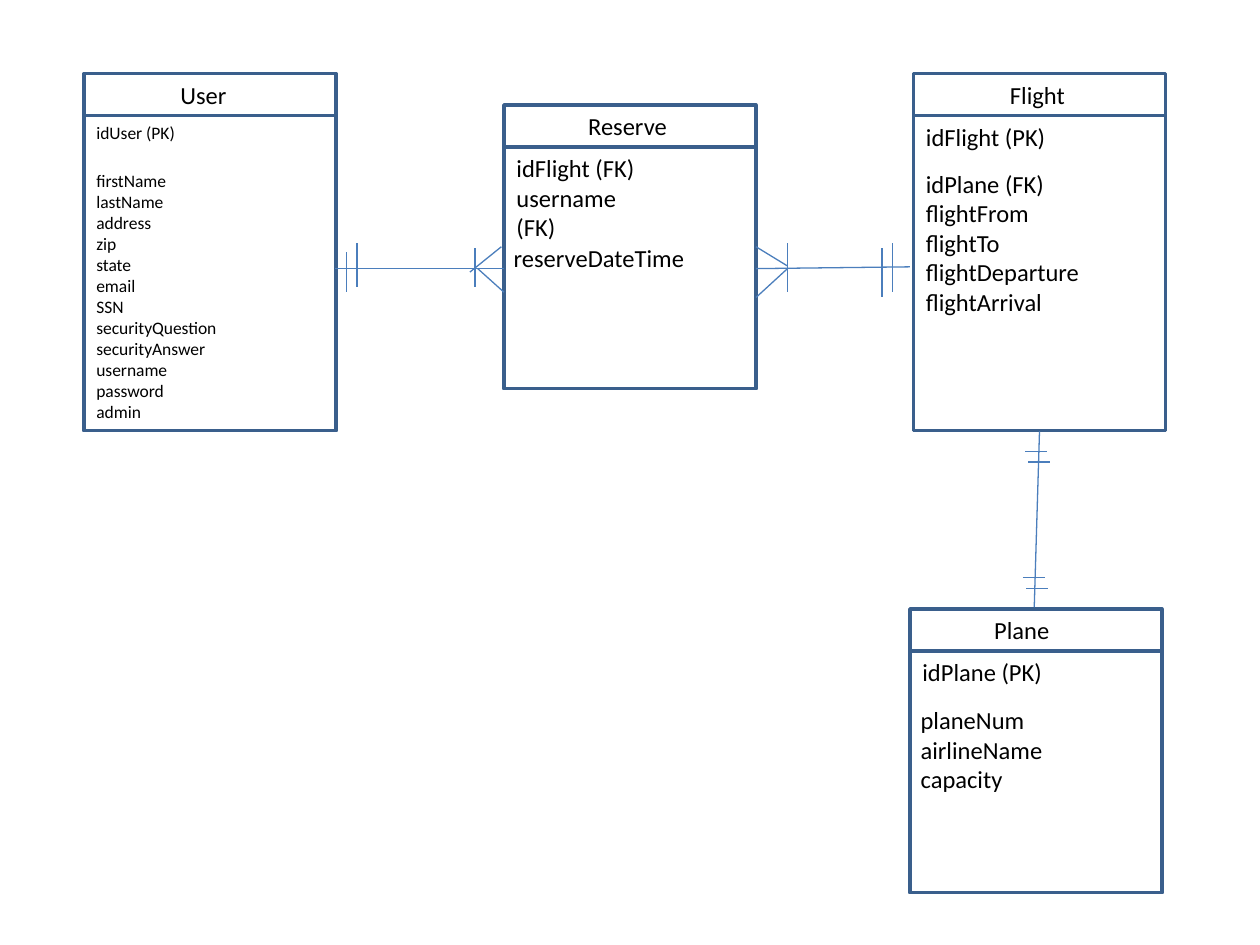
"""Builds an entity-relationship diagram of a flight booking database."""
from dataclasses import dataclass

from lxml import etree
from pptx import Presentation
from pptx import util as u
from pptx.dml.color import RGBColor
from pptx.enum import shapes, text
from pptx.oxml import ns


@dataclass(frozen=True)
class Theme:
    """Colours, type and line sizes of the diagram."""
    font: str = "Calibri"
    ink: RGBColor = RGBColor(0x00, 0x00, 0x00)
    paper: RGBColor = RGBColor(0xFF, 0xFF, 0xFF)
    border: RGBColor = RGBColor(0x3A, 0x5F, 0x8C)
    relation: RGBColor = RGBColor(0x4B, 0x7E, 0xBC)
    normal: float = 14
    small: float = 10
    border_width: float = 2
    relation_width: float = 0.75


@dataclass(frozen=True)
class Entity:
    """One table of the database and its place on the slide."""
    name: str
    left: float
    top: float
    height: float
    title_left: float
    title_width: float
    keys: tuple
    fields: tuple
    fields_left: float
    fields_top: float
    size: float


THEME = Theme()
ENTITY_WIDTH = 144
HEADER_HEIGHT = 24
TICK_LENGTH = 12.5

ENTITIES = (
    Entity("User", 48, 42, 204, 96, 48, ("idUser (PK)",),
           ("firstName", "lastName", "address", "zip", "state", "email", "SSN",
            "securityQuestion", "securityAnswer", "username", "password", "admin"),
           48, 93.5, THEME.small),
    Entity("Flight", 522, 42, 204, 570, 48, ("idFlight (PK)",),
           ("idPlane (FK)", "flightFrom", "flightTo", "flightDeparture", "flightArrival"),
           522, 93, THEME.normal),
    Entity("Reserve", 288, 60, 162, 329, 60, ("idFlight (FK)", "username (FK)"),
           ("reserveDateTime",), 286.5, 135.5, THEME.normal),
    Entity("Plane", 520, 348, 162, 561, 60, ("idPlane (PK)",),
           ("planeNum", "airlineName", "capacity"), 519, 399.5, THEME.normal),
)

RELATIONS = ((191.5, 153.5, 288, 153.5), (432, 153.5, 520, 152.5), (591, 347, 594, 246.5))
CROW_FEET = ((432, 141, 450, 152), (432, 170, 450, 153.5),
             (286.5, 141, 268.5, 155.5), (288, 167, 273, 153.5))
UPRIGHT_TICKS = ((198, 144, 167), (204, 139, 164), (271.5, 142, 164),
                 (450, 139, 167), (504, 142, 170), (510, 139, 167))
LEVEL_TICKS = ((586, 258), (587.5, 264), (584.5, 330), (586.5, 336.5))


def add_box(slide, left, top, height):
    """Add a bordered rectangle as wide as an entity."""
    shape = slide.shapes.add_shape(
        shapes.MSO_SHAPE.RECTANGLE, u.Pt(left), u.Pt(top), u.Pt(ENTITY_WIDTH), u.Pt(height))
    shape.shadow.inherit = False
    shape.fill.solid()
    shape.fill.fore_color.rgb = THEME.paper
    shape.line.color.rgb = THEME.border
    shape.line.width = u.Pt(THEME.border_width)


def add_lines_of_text(slide, left, top, width, lines, size, wrap=True):
    """Add a text box with one paragraph per line."""
    height = 7.2 + 1.22 * size * len(lines)
    shape = slide.shapes.add_textbox(u.Pt(left), u.Pt(top), u.Pt(width), u.Pt(height))
    frame = shape.text_frame
    frame.text = "\n".join(lines)
    frame.word_wrap = wrap
    frame.auto_size = text.MSO_AUTO_SIZE.SHAPE_TO_FIT_TEXT
    for paragraph in frame.paragraphs:
        for run in paragraph.runs:
            run.font.name = THEME.font
            run.font.size = u.Pt(size)
            run.font.color.rgb = THEME.ink


def add_entity(slide, entity):
    """Add an entity with its header, keys and fields."""
    body_top = entity.top + HEADER_HEIGHT
    add_box(slide, entity.left, entity.top, entity.height)
    add_box(slide, entity.left, body_top, entity.height - HEADER_HEIGHT)
    add_lines_of_text(slide, entity.title_left, entity.top, entity.title_width,
                      (entity.name,), THEME.normal)
    key_width = 14.4 + max(map(len, entity.keys)) * entity.size * 0.45
    add_lines_of_text(slide, entity.left, body_top, key_width,
                      entity.keys, entity.size, wrap=False)
    add_lines_of_text(slide, entity.fields_left, entity.fields_top, ENTITY_WIDTH,
                      entity.fields, entity.size)


def add_line(slide, *ends):
    """Add a thin straight line between two points."""
    connector = slide.shapes.add_connector(
        shapes.MSO_CONNECTOR.STRAIGHT, *(u.Pt(value) for value in ends))
    connector.line.color.rgb = THEME.relation
    connector.line.width = u.Pt(THEME.relation_width)
    etree.SubElement(connector.element.spPr, ns.qn("a:effectLst"))


def main():
    """Build the slide and save it."""
    presentation = Presentation()
    presentation.slide_width, presentation.slide_height = u.Pt(720), u.Pt(540)
    slide = presentation.slides.add_slide(presentation.slide_layouts[6])
    for entity in ENTITIES:
        add_entity(slide, entity)
    for ends in RELATIONS + CROW_FEET:
        add_line(slide, *ends)
    for x, top, bottom in UPRIGHT_TICKS:
        add_line(slide, x, top, x, bottom)
    for left, y in LEVEL_TICKS:
        add_line(slide, left, y, left + TICK_LENGTH, y)
    presentation.save("out.pptx")


main()
